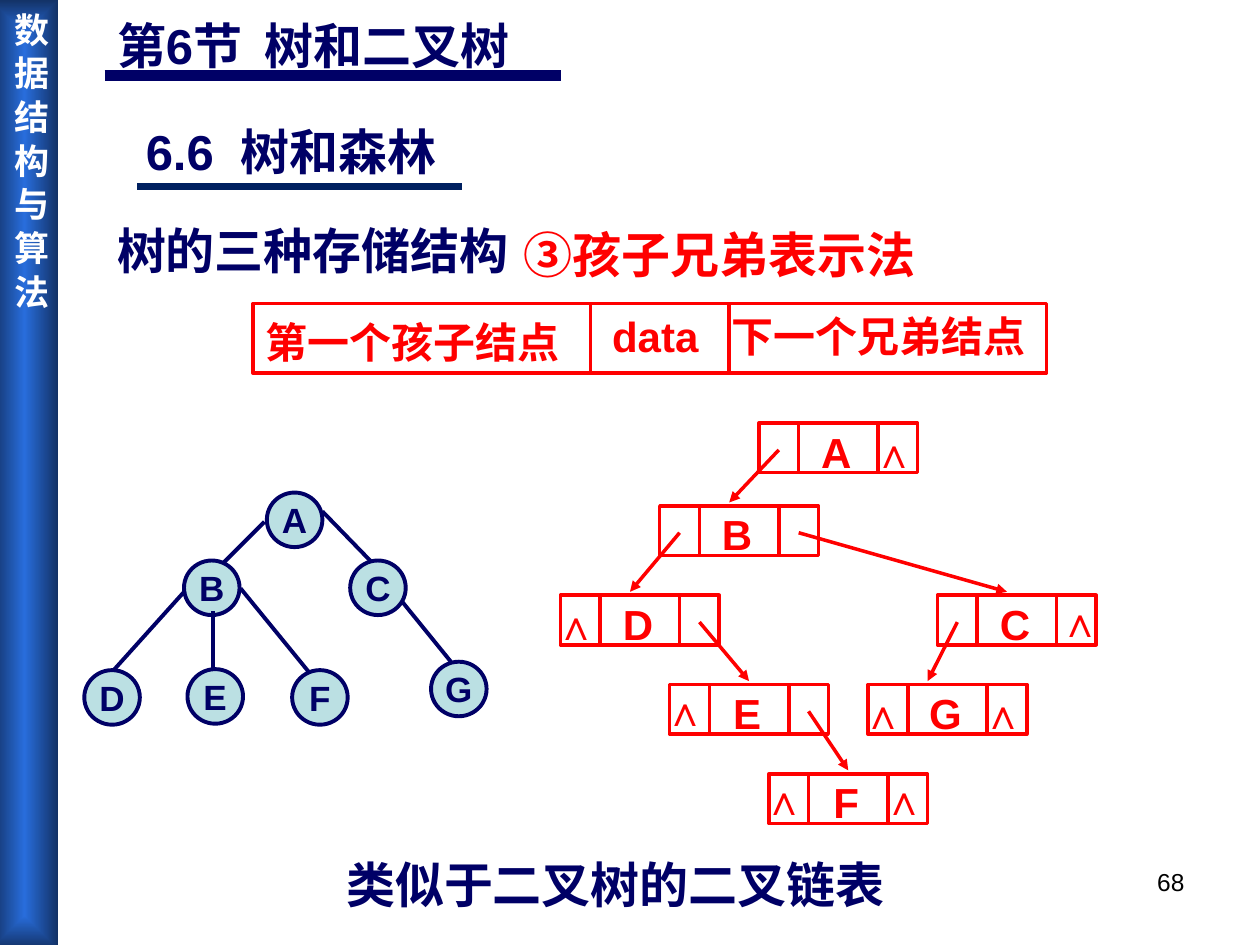
from pptx import Presentation
from pptx import util as u
from pptx.dml.color import RGBColor
from pptx.enum import shapes, text
from pptx.oxml import parse_xml
from pptx.oxml import ns

NAVY, RED, WHITE, BLACK = "000066", "FF0000", "FFFFFF", "000000"
LATIN, CJK = "Arial", "Noto Sans CJK SC"
NODE_W, NODE_H, LEFT_CELL, RIGHT_CELL = 3.2, 1.0, 0.8, 2.4


def rgb(value):
    return RGBColor.from_string(value)


def put(target, values):
    for key, value in values.items():
        setattr(target, key, value)


def element(xml):
    return parse_xml(xml.replace(" ", f" {ns.nsdecls('a')} ", 1))


class Board:
    """Holds the slide and draws its elements; all lengths are in cm."""

    frame_style = dict(margin_left=u.Cm(0.25), margin_right=u.Cm(0.25),
                       margin_top=u.Cm(0.13), margin_bottom=u.Cm(0.13))

    def __init__(self, slide):
        self.slide = slide
        self.shapes = slide.shapes

    def fill_text(self, shape, words, size, color, bold=True, align="LEFT", wrap=True,
                  anchor="TOP", spacing=None, font=LATIN):
        frame = shape.text_frame
        frame.text = words
        put(frame, dict(self.frame_style, word_wrap=wrap, auto_size=text.MSO_AUTO_SIZE.NONE,
                        vertical_anchor=getattr(text.MSO_ANCHOR, anchor)))
        paragraph = frame.paragraphs[0]
        paragraph.alignment = getattr(text.PP_ALIGN, align)
        if spacing:
            paragraph.line_spacing = spacing
        run = paragraph.runs[0]
        put(run.font, dict(name=font, size=u.Pt(size), bold=bold))
        run.font.color.rgb = rgb(color)
        run.font._element.find(ns.qn("a:latin")).addnext(
            element(f'<a:ea typeface="{CJK}"/>'))

    def title(self, box, words, size, color):
        title = self.shapes.title
        put(title, dict(zip(("left", "top", "width", "height"), map(u.Cm, box))))
        self.fill_text(title, words, size, color)

    def label(self, box, words, size, color, **style):
        self.fill_text(self.shapes.add_textbox(*map(u.Cm, box)), words, size, color, **style)

    def shape(self, kind, box, fill=None, line=None, width=2):
        shape = self.shapes.add_shape(kind, *map(u.Cm, box))
        shape.shadow.inherit = False
        if fill:
            shape.fill.solid()
            shape.fill.fore_color.rgb = rgb(fill)
        else:
            shape.fill.background()
        if line:
            shape.line.color.rgb = rgb(line)
            shape.line.width = u.Pt(width)
        else:
            shape.line.fill.background()
        return shape

    def line(self, start, end, color, width=2, arrow=False):
        line = self.shapes.add_connector(shapes.MSO_CONNECTOR.STRAIGHT,
                                         *map(u.Cm, (*start, *end)))
        line.line.color.rgb = rgb(color)
        line.line.width = u.Pt(width)
        properties = line._element.spPr
        if arrow:
            properties.get_or_add_ln().append(element('<a:tailEnd type="triangle"/>'))
        properties.append(element("<a:effectLst />"))

    def record(self, x, y, w, h, dividers):
        self.shape(shapes.MSO_SHAPE.RECTANGLE, (x, y, w, h), line=RED)
        for offset in dividers:
            self.line((x + offset, y), (x + offset, y + h), RED)

    def circle(self, x, y, name):
        node = self.shape(shapes.MSO_SHAPE.OVAL, (x, y, 1.12, 1.1), "BBE0E3", NAVY, 2.25)
        self.fill_text(node, name, 20, NAVY, align="CENTER", wrap=False, anchor="MIDDLE")

    def sidebar(self, box, words):
        bar = self.shape(shapes.MSO_SHAPE.RECTANGLE, box)
        bar.fill.gradient()
        for stop, color in zip(bar.fill.gradient_stops, ("286DDC", "133266")):
            stop.color.rgb = rgb(color)
        gradient = bar._element.spPr.find(ns.qn("a:gradFill"))
        gradient.replace(gradient.find(ns.qn("a:lin")), element(
            '<a:path path="rect"><a:fillToRect l="50000" t="50000" r="50000" b="50000"/></a:path>'))
        self.fill_text(bar, words, 20, WHITE, align="CENTER", font=CJK)
        put(bar.text_frame, dict(margin_left=u.Cm(0.13), margin_right=u.Cm(0.13),
                                 margin_top=u.Cm(0.25), margin_bottom=u.Cm(0.25)))
        bar.text_frame._txBody.bodyPr.set("vert", "eaVert")


def main():
    prs = Presentation()
    prs.slide_width, prs.slide_height = u.Cm(25.4), u.Cm(19.05)
    board = Board(prs.slides.add_slide(prs.slide_layouts[5]))

    # Sidebar, headings and page number
    board.sidebar((-0.18, 0, 1.35, 19.13), "数 据 结 构 与 算 法")
    board.label((18.21, 17.35, 5.92, 1.32), "68", 14, BLACK, bold=False, align="RIGHT")
    board.line((2.11, 1.52), (11.3, 1.52), NAVY, 6)
    board.title((2.11, 0.18, 9.4, 2.64), "第6节  树和二叉树", 28, NAVY)
    board.label((2.69, 2.31, 7.04, 1.45), "6.6  树和森林", 28, NAVY)
    board.line((2.77, 3.76), (9.32, 3.76), "002060", 4.25)
    board.label((2.11, 4.32, 8.81, 1.45), "树的三种存储结构", 28, NAVY)
    board.label((10.31, 4.11, 8.99, 1.75), "③孩子兄弟表示法", 28, RED, spacing=1.25)

    # Layout of one node record
    board.record(5.1, 6.12, 16, 1.4, (6.8, 9.6))
    for x, y, w, field in ((5.1, 6.25, 6.43, "第一个孩子结点"), (12.09, 6.12, 2.24, "data"),
                           (14.5, 6.12, 6.43, "下一个兄弟结点")):
        board.label((x, y, w, 1.27), field, 24, RED, wrap=False)

    # Tree
    tree = {"A": (5.38, 9.93), "B": (3.71, 11.3), "C": (7.06, 11.3), "D": (1.7, 13.51),
            "G": (8.69, 13.34), "E": (3.78, 13.49), "F": (5.89, 13.51)}
    branches = (((5.33, 10.52), (4.5, 11.35)), ((3.73, 11.91), (2.29, 13.51)),
                ((6.5, 10.31), (7.49, 11.33)), ((8.1, 12.12), (9.09, 13.34)),
                ((4.85, 11.86), (6.22, 13.54)), ((4.29, 12.32), (4.29, 13.51)))
    for name, (x, y) in tree.items():
        board.circle(x, y, name)
    for start, end in branches:
        board.line(start, end, NAVY, 2.25)

    # Linked records: position, x offsets of the null marks, their y offset
    records = {"A": (15.3, 8.53, (2.06,), -0.07), "B": (13.3, 10.2, (), 0),
               "D": (11.3, 12, (-0.36,), -0.07), "C": (18.9, 12, (2.21,), -0.13),
               "E": (13.5, 13.8, (-0.36,), -0.13), "G": (17.5, 13.8, (-0.36, 2.06), -0.07),
               "F": (15.5, 15.6, (-0.36, 2.06), -0.13)}
    for name, (x, y, nulls, drop) in records.items():
        board.record(x, y, NODE_W, NODE_H, (LEFT_CELL, RIGHT_CELL))
        board.label((x + 1, y - 0.07, 1.12, 1.27), name, 24, RED, align="CENTER", wrap=False)
        for offset in nulls:
            board.label((x + offset, y + drop, 1.35, 1.27), "∧", 24, RED, wrap=False)

    # Pointers: parent, child, x offset in the parent, x offset on the child
    child, sibling = LEFT_CELL / 2, (RIGHT_CELL + NODE_W) / 2
    for source, target, leave, arrive in (
            ("A", "B", child, 1.4), ("B", "D", child, 1.4), ("B", "C", sibling, 1.4),
            ("C", "G", child, 1.2), ("D", "E", sibling, 1.6), ("E", "F", sibling, 1.6)):
        (x1, y1), (x2, y2) = records[source][:2], records[target][:2]
        board.line((x1 + leave, y1 + 0.54), (x2 + arrive, y2 - 0.07), RED, arrow=True)

    # Conclusion
    board.label((6.73, 17.09, 11.35, 1.45), "类似于二叉树的二叉链表", 28, NAVY, wrap=False)
    prs.save("out.pptx")


if __name__ == "__main__":
    main()
